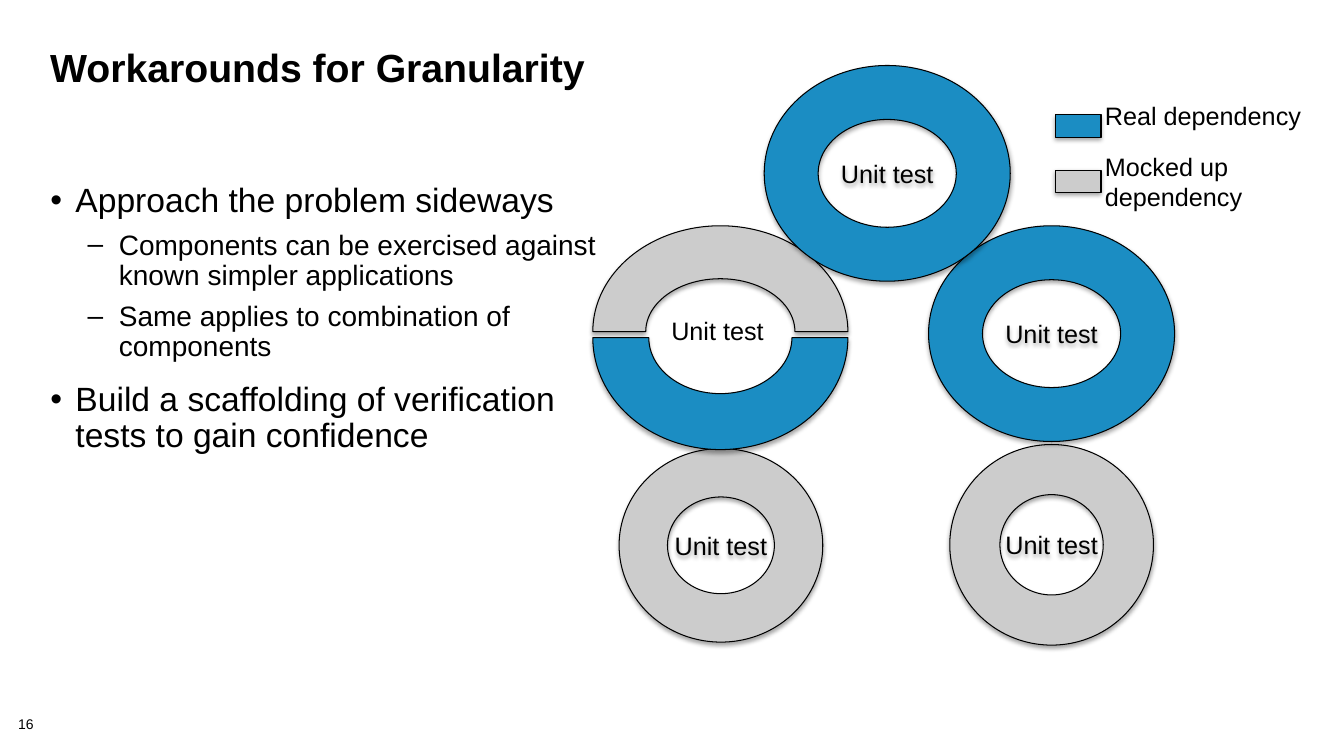
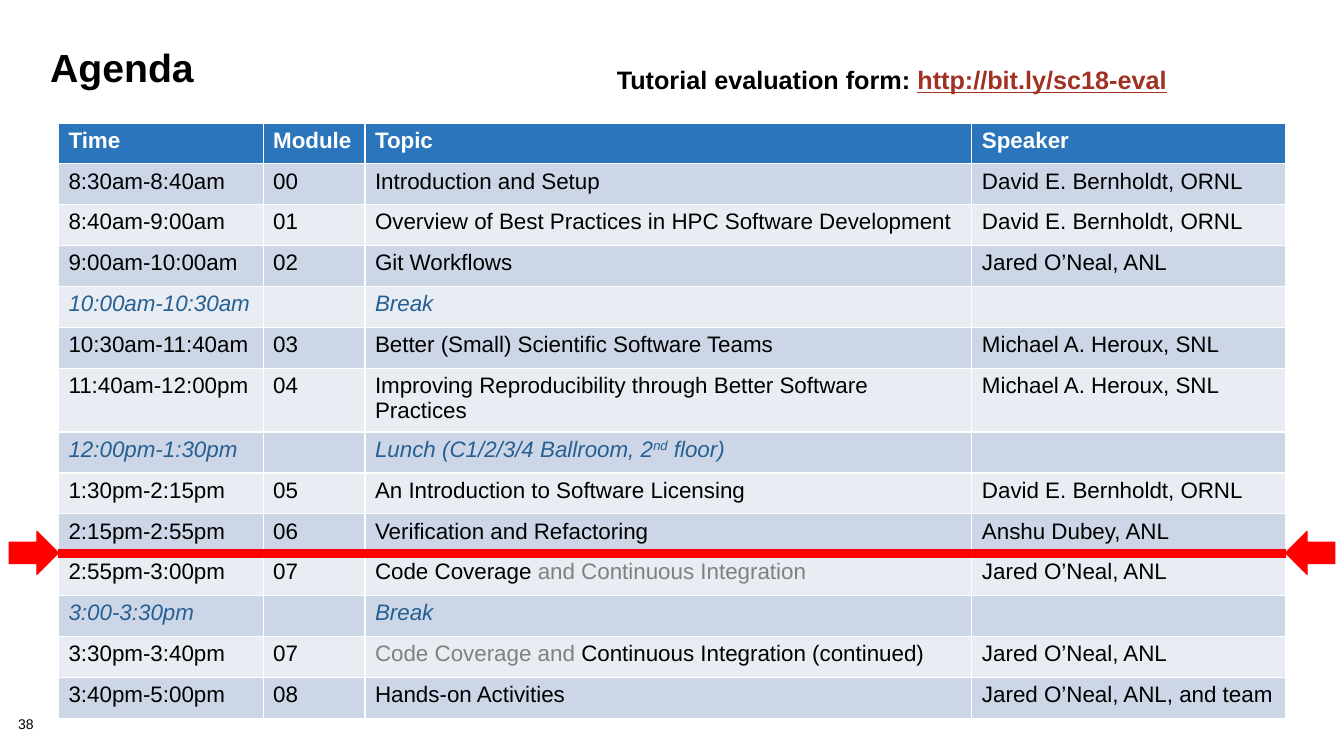
"""Build two tutorial slides: granularity workarounds and the agenda."""
from lxml import etree
from pptx import Presentation
from pptx.dml.color import RGBColor
from pptx.enum.shapes import MSO_CONNECTOR, MSO_SHAPE
from pptx.enum.text import MSO_AUTO_SIZE, PP_ALIGN
from pptx.oxml.ns import qn
from pptx.util import Emu, Pt

DONUT, ARC = MSO_SHAPE.DONUT, MSO_SHAPE.BLOCK_ARC
SWATCH, ARROW = MSO_SHAPE.RECTANGLE, MSO_SHAPE.RIGHT_ARROW
STRAIGHT = MSO_CONNECTOR.STRAIGHT
FIT = MSO_AUTO_SIZE.SHAPE_TO_FIT_TEXT
LEFT, CENTER = PP_ALIGN.LEFT, PP_ALIGN.CENTER

BLACK = RGBColor(0x00, 0x00, 0x00)
WHITE = RGBColor(0xFF, 0xFF, 0xFF)
REAL = RGBColor(0x1B, 0x8D, 0xC3)
MOCKED = RGBColor(0xCC, 0xCC, 0xCC)
HEADER = RGBColor(0x2A, 0x75, 0xBB)
BANDS = (RGBColor(0xE8, 0xEC, 0xF3), RGBColor(0xCD, 0xD6, 0xE7))
PAUSE = RGBColor(0x26, 0x60, 0x93)
FADED = RGBColor(0x80, 0x80, 0x80)
LINK = RGBColor(0xA0, 0x31, 0x23)
MARKER = RGBColor(0xFF, 0x00, 0x00)

FONT = "Arial"
PX = 9144
BULLETS = (("•", 25, -25, 24, 14), ("–", 68, -31, 20, 8))

POINTS = [
    (0, "Approach the problem sideways"),
    (1, "Components can be exercised against known simpler applications"),
    (1, "Same applies to combination of components"),
    (0, "Build a scaffolding of verification tests to gain confidence"),
]

COLUMNS = (203, 101, 602, 311)
SCHEDULE = [
    ("Time", "Module", "Topic", "Speaker"),
    ("8:30am-8:40am", "00", "Introduction and Setup", "David E. Bernholdt, ORNL"),
    ("8:40am-9:00am", "01", "Overview of Best Practices in HPC Software Development",
     "David E. Bernholdt, ORNL"),
    ("9:00am-10:00am", "02", "Git Workflows", "Jared O’Neal, ANL"),
    ("10:00am-10:30am", "", "Break", ""),
    ("10:30am-11:40am", "03", "Better (Small) Scientific Software Teams",
     "Michael A. Heroux, SNL"),
    ("11:40am-12:00pm", "04", "Improving Reproducibility through Better Software Practices",
     "Michael A. Heroux, SNL"),
    ("12:00pm-1:30pm", "",
     [("Lunch (C1/2/3/4 Ballroom, 2", {}), ("nd", {"baseline": 30000}), (" floor)", {})], ""),
    ("1:30pm-2:15pm", "05", "An Introduction to Software Licensing",
     "David E. Bernholdt, ORNL"),
    ("2:15pm-2:55pm", "06", "Verification and Refactoring", "Anshu Dubey, ANL"),
    ("2:55pm-3:00pm", "07",
     [("Code Coverage ", {}), ("and Continuous Integration", {"color": FADED})],
     "Jared O’Neal, ANL"),
    ("3:00-3:30pm", "", "Break", ""),
    ("3:30pm-3:40pm", "07",
     [("Code Coverage and ", {"color": FADED}), ("Continuous Integration (continued)", {})],
     "Jared O’Neal, ANL"),
    ("3:40pm-5:00pm", "08", "Hands-on Activities", "Jared O’Neal, ANL, and team"),
]


def px(*lengths):
    return [Emu(length * PX) for length in lengths]


class Deck:
    def __init__(self):
        self.show = Presentation()
        self.show.slide_width, self.show.slide_height = px(1333, 750)
        self.slide = None

    def start(self, title, number):
        self.slide = self.show.slides.add_slide(self.show.slide_layouts[6])
        page = self.text((18, 712, 56, 16), number, 10, spacing=0.9)
        page.margin_left = page.margin_right = page.margin_top = page.margin_bottom = 0
        self.text((40, 45, 1244, 100), title, 28, spacing=0.85, bold=True)

    def fill_text(self, paragraph, content, size, **shared):
        pieces = [(content, {})] if isinstance(content, str) else content
        paragraph.text = pieces[0][0]
        for words, _ in pieces[1:]:
            paragraph.add_run().text = words
        for run, (_, own) in zip(paragraph.runs, pieces):
            looks = {"color": BLACK, **shared, **own}
            font = run.font
            font.name, font.size = FONT, Pt(size)
            font.color.rgb = looks["color"]
            font.bold = looks.get("bold", False)
            font.italic = looks.get("italic", False)
            font.underline = looks.get("underline", False)
            if "baseline" in looks:
                font._element.set("baseline", str(looks["baseline"]))

    def text(self, box, content, size, spacing=1.0, wrap=True, align=LEFT, **looks):
        frame = self.slide.shapes.add_textbox(*px(*box)).text_frame
        frame.word_wrap = wrap
        if not wrap:
            frame.auto_size = FIT
        paragraph = frame.paragraphs[0]
        paragraph.alignment, paragraph.line_spacing = align, spacing
        self.fill_text(paragraph, content, size, **looks)
        return frame

    def label(self, box, words):
        first, *others = words.split("\n")
        frame = self.text(box, first, 18, wrap=False)
        for line in others:
            self.fill_text(frame.add_paragraph(), line, 18)

    def bullets(self, box, points):
        frame = self.slide.shapes.add_textbox(*px(*box)).text_frame
        frame.word_wrap = True
        for index, (level, words) in enumerate(points):
            paragraph = frame.add_paragraph() if index else frame.paragraphs[0]
            sign, margin, indent, size, before = BULLETS[level]
            paragraph.level = level
            properties = paragraph._p.get_or_add_pPr()
            properties.set("marL", str(margin * PX))
            properties.set("indent", str(indent * PX))
            tint = etree.SubElement(properties, qn("a:buClr"))
            etree.SubElement(tint, qn("a:srgbClr"), val=str(BLACK))
            etree.SubElement(properties, qn("a:buFont"), typeface=FONT)
            etree.SubElement(properties, qn("a:buChar"), char=sign)
            paragraph.line_spacing = 0.9
            paragraph.space_before = Pt(before if index else 0)
            self.fill_text(paragraph, words, size)

    def shape(self, kind, box, fill, line=BLACK):
        shape = self.slide.shapes.add_shape(kind, *px(*box))
        shape.shadow.inherit = False
        shape.fill.solid()
        shape.fill.fore_color.rgb = fill
        shape.line.color.rgb = line
        shape.line.width = Pt(0.75)
        return shape

    def raised(self, kind, box, fill, words=""):
        shape = self.shape(kind, box, fill)
        effects = shape._element.spPr.find(qn("a:effectLst"))
        shadow = etree.SubElement(effects, qn("a:outerShdw"), blurRad="40000",
                                  dist="23000", dir="5400000", rotWithShape="0")
        tint = etree.SubElement(shadow, qn("a:srgbClr"), val=str(BLACK))
        etree.SubElement(tint, qn("a:alpha"), val="35000")
        if words:
            paragraph = shape.text_frame.paragraphs[0]
            paragraph.alignment = CENTER
            self.fill_text(paragraph, words, 18)
        return shape

    def line(self, start, end, color, width):
        line = self.slide.shapes.add_connector(STRAIGHT, *px(*start, *end))
        line.line.color.rgb = color
        line.line.width = Pt(width)
        etree.SubElement(line._element.spPr, qn("a:effectLst"))

    def table(self, left, top, height, columns, rows):
        box = px(left, top, sum(columns), height)
        table = self.slide.shapes.add_table(len(rows), len(columns), *box).table
        for column, width in zip(table.columns, px(*columns)):
            column.width = width
        for r, row in enumerate(rows):
            if r == 0:
                fill, looks = HEADER, {"color": WHITE, "bold": True}
            else:
                fill = BANDS[r % 2]
                looks = {} if row[1] else {"color": PAUSE, "italic": True}
            for c, content in enumerate(row):
                cell = table.cell(r, c)
                cell.fill.solid()
                cell.fill.fore_color.rgb = fill
                self.fill_text(cell.text_frame.paragraphs[0], content, 16, **looks)


def granularity(deck):
    deck.start("Workarounds for Granularity", "16")
    deck.bullets((40, 177, 562, 467), POINTS)
    deck.label((1086, 145, 158, 71), "Mocked up\ndependency")
    deck.label((1086, 95, 217, 40), "Real dependency")
    for box in ((614, 445, 202, 192), (942, 441, 202, 199)):
        deck.raised(DONUT, box, MOCKED, "Unit test")
    deck.raised(ARC, (588, 224, 253, 210), MOCKED)
    lower_half = deck.raised(ARC, (588, 224, 253, 222), REAL)
    lower_half._element.spPr.get_or_add_xfrm().set("flipV", "1")
    deck.label((656, 308, 113, 40), "Unit test")
    for left, top in ((921, 224), (758, 65)):
        deck.raised(DONUT, (left, top, 244, 214), REAL, "Unit test")
    for top, fill in ((114, REAL), (169, MOCKED)):
        deck.raised(SWATCH, (1047, top, 45, 22), fill)


def agenda(deck):
    deck.start("Agenda", "38")
    left, right, now = 58, 58 + sum(COLUMNS), 549
    deck.table(left, 122, 568, COLUMNS, SCHEDULE)
    invitation = [("Tutorial evaluation form: ", {}),
                  ("http://bit.ly/sc18-eval", {"color": LINK, "underline": True})]
    deck.text((599, 44, 571, 50), invitation, 18, spacing=1.5, wrap=False,
              align=CENTER, bold=True)
    deck.line((left, now), (right, now), MARKER, 6)
    for edge, turn in ((left - 49, 0), (right, 180)):
        deck.shape(ARROW, (edge, 527, 49, 43), MARKER, MARKER).rotation = turn


def main():
    deck = Deck()
    granularity(deck)
    agenda(deck)
    deck.show.save("out.pptx")


if __name__ == "__main__":
    main()
